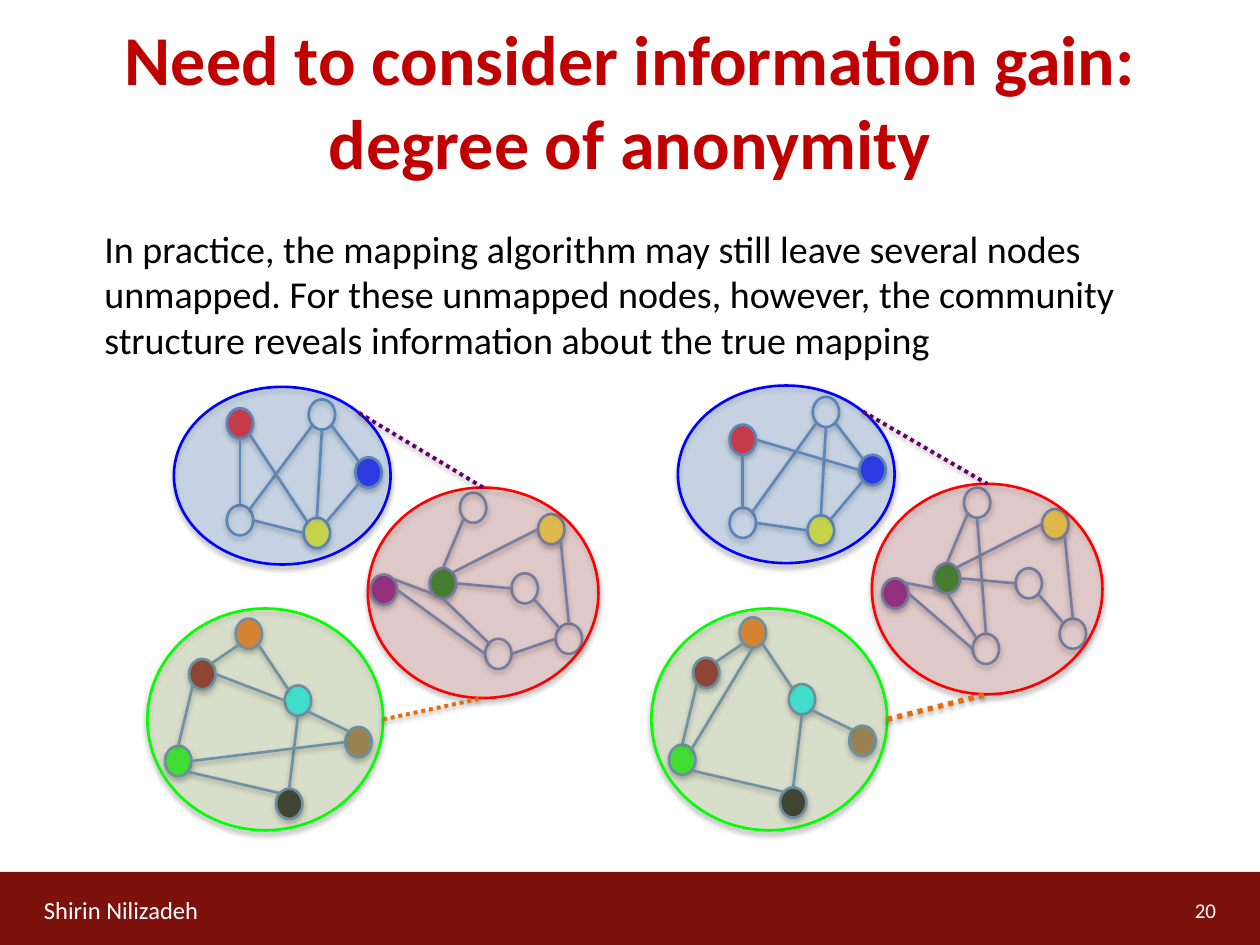
from math import sqrt

from lxml.etree import SubElement
from pptx import Presentation
from pptx.dml.color import RGBColor
from pptx.enum.dml import MSO_LINE
from pptx.enum.shapes import MSO_CONNECTOR, MSO_SHAPE
from pptx.enum.text import MSO_ANCHOR, PP_ALIGN
from pptx.oxml.ns import qn
from pptx.util import Inches, Pt

TITLE = "Need to consider information gain: degree of anonymity"
BODY = ("In practice, the mapping algorithm may still leave several nodes unmapped. "
        "For these unmapped nodes, however, the community structure reveals "
        "information about the true mapping")
AUTHOR, PAGE = "Shirin Nilizadeh", "20"

COMMUNITIES = {
    "upper": dict(box=(1.38, 3.07, 1.72, 1.41), fill="8EB4E3", line="0000FF", drop=-0.01),
    "middle": dict(box=(2.92, 3.87, 1.83, 1.67), fill="D99694", line="FF0000", drop=-0.03),
    "lower": dict(box=(1.17, 4.83, 1.87, 1.76), fill="C3D69B", line="00FF00", drop=0),
}
NODE_DROP = {"upper": -0.02, "middle": -0.04, "lower": -0.01}
NODES = {
    "upper": {
        "yellow": (2.41, 4.11, "FFFF00"), "blue": (2.82, 3.63, "0000FF"),
        "red": (1.8, 3.24, "FF0000"), "open1": (1.8, 4.01, None),
        "open2": (2.45, 3.17, None),
    },
    "middle": {
        "green": (3.41, 4.51, "008000"), "purple": (2.94, 4.56, "800080"),
        "gold": (4.27, 4.08, "FFE42A"), "open3": (3.65, 3.91, None),
        "open4": (3.85, 5.07, None), "open5": (4.06, 4.55, None),
        "open6": (4.41, 4.95, None),
    },
    "lower": {
        "orange": (1.87, 4.91, "FF6600"), "maroon": (1.5, 5.23, "800000"),
        "cyan": (2.26, 5.44, "00FFFF"), "black": (2.19, 6.26, "000000"),
        "lime": (1.31, 5.92, "00FF00"), "brown": (2.74, 5.77, "996633"),
    },
}
MOVED_RIGHT = {"purple": (7, 4.59), "open4": (7.72, 5.03),
               "red": (5.79, 3.37), "open1": (5.79, 4.03)}

SHARED_EDGES = [
    "purple NE green SW", "blue SW yellow NE", "open1 E yellow W", "open2 S yellow N",
    "open2 SW open1 NE", "open2 SE blue NW", "red S open1 N", "maroon NE orange SW",
    "orange SE cyan NW", "lime N maroon SW", "lime SE black NW", "cyan SE brown NW",
    "cyan S black N", "green N open3 SW", "green E open5 W", "purple E open4 W",
    "gold W green NE", "green S open4 NW", "open5 SE open6 NW", "gold SE open6 N",
]
LEFT_EDGES = ["red SE yellow NW", "maroon E cyan W", "open6 W open4 E", "lime E brown W"]
RIGHT_EDGES = ["orange S lime NE", "red E blue W", "open3 S open4 N"]
NETWORKS = [
    dict(shift=0, edges=LEFT_EDGES, moved={}, lower_tie=2.25),
    dict(shift=4, edges=RIGHT_EDGES, moved=MOVED_RIGHT, lower_tie=3),
]
NODE_W, NODE_H = 0.21, 0.24
D = 1 / sqrt(2)
SITES = {"N": (0, -1), "NE": (D, -D), "E": (1, 0), "SE": (D, D),
         "S": (0, 1), "SW": (-D, D), "W": (-1, 0), "NW": (-D, -D)}


def color(value):
    return RGBColor.from_string(value)


def add_alpha(el, percent):
    SubElement(el, qn("a:alpha")).set("val", str(percent * 1000))


def add_shadow(sp, opacity, dist):
    effects = SubElement(sp._element.spPr, qn("a:effectLst"))
    shadow = SubElement(effects, qn("a:outerShdw"), blurRad=str(Pt(3.1)),
                        dist=str(Pt(dist)), dir="5400000", rotWithShape="0")
    add_alpha(SubElement(shadow, qn("a:srgbClr"), val="000000"), opacity)


def add_ellipse(s, box, fill, line, opacity=100):
    sp = s.shapes.add_shape(MSO_SHAPE.OVAL, *map(Inches, box))
    if fill:
        sp.fill.solid()
        sp.fill.fore_color.rgb = color(fill)
        if opacity < 100:
            add_alpha(sp._element.spPr.find(".//" + qn("a:srgbClr")), opacity)
    else:
        sp.fill.background()
    sp.line.color.rgb = color(line)
    sp.line.width = Pt(1.5)
    add_shadow(sp, 35, 1.8)


def add_line(s, start, end, line="4F81BD", width=1.5, dash=None):
    cx = s.shapes.add_connector(MSO_CONNECTOR.STRAIGHT, *map(Inches, start + end))
    cx.line.color.rgb = color(line)
    cx.line.width = Pt(width)
    if dash:
        cx.line.dash_style = dash
    add_shadow(cx, 38, 1.6)


def add_text(s, text, box, size, ink, bold=False, align=PP_ALIGN.LEFT, anchor=MSO_ANCHOR.MIDDLE):
    tf = s.shapes.add_textbox(*map(Inches, box)).text_frame
    tf.word_wrap = True
    tf.vertical_anchor = anchor
    p = tf.paragraphs[0]
    p.alignment = align
    r = p.add_run()
    r.text = text
    r.font.name, r.font.size, r.font.bold = "Calibri", Pt(size), bold
    r.font.color.rgb = color(ink)


def site(box, name):
    x, y, w, h = box
    dx, dy = SITES[name]
    return x + w / 2 * (1 + dx), y + h / 2 * (1 + dy)


def add_network(s, shift, edges, moved, lower_tie):
    boxes = {}
    for group, nodes in NODES.items():
        drop = NODE_DROP[group] if shift else 0
        for name, (x, y, fill) in nodes.items():
            boxes[name] = (*moved.get(name, (x + shift, y + drop)), NODE_W, NODE_H)
            add_ellipse(s, boxes[name], fill, "4B7EBC")
    for edge in SHARED_EDGES + edges:
        a, a_site, b, b_site = edge.split()
        add_line(s, site(boxes[a], a_site), site(boxes[b], b_site))

    areas = {}
    for name, c in COMMUNITIES.items():
        x, y, w, h = c["box"]
        areas[name] = (x + shift, y + (c["drop"] if shift else 0), w, h)
        add_ellipse(s, areas[name], c["fill"], c["line"], opacity=33)
    add_line(s, site(areas["upper"], "NE"), site(areas["middle"], "N"),
             "660066", 2.25, MSO_LINE.ROUND_DOT)
    add_line(s, site(areas["lower"], "E"), site(areas["middle"], "S"),
             "E46C0A", lower_tie, MSO_LINE.ROUND_DOT)


def main():
    prs = Presentation()
    prs.slide_width, prs.slide_height = Inches(10), Inches(7.5)
    s = prs.slides.add_slide(prs.slide_layouts[6])

    bar = s.shapes.add_shape(MSO_SHAPE.RECTANGLE, 0, Inches(6.92), Inches(10), Inches(0.58))
    bar.shadow.inherit = False
    bar.fill.solid()
    bar.fill.fore_color.rgb = color("7D110C")
    bar.line.fill.background()

    add_text(s, AUTHOR, (0.25, 7.02, 1.75, 0.4), 14, "FFFFFF")
    add_text(s, TITLE, (0.5, 0.08, 9, 1.42), 40, "C00000", bold=True, align=PP_ALIGN.CENTER)
    add_text(s, PAGE, (7.42, 7.02, 2.33, 0.4), 12, "FFFFFF", align=PP_ALIGN.RIGHT)
    for network in NETWORKS:
        add_network(s, **network)
    add_text(s, BODY, (0.73, 1.74, 9, 1.33), 21.7, "000000", anchor=MSO_ANCHOR.TOP)
    prs.save("out.pptx")


if __name__ == "__main__":
    main()
